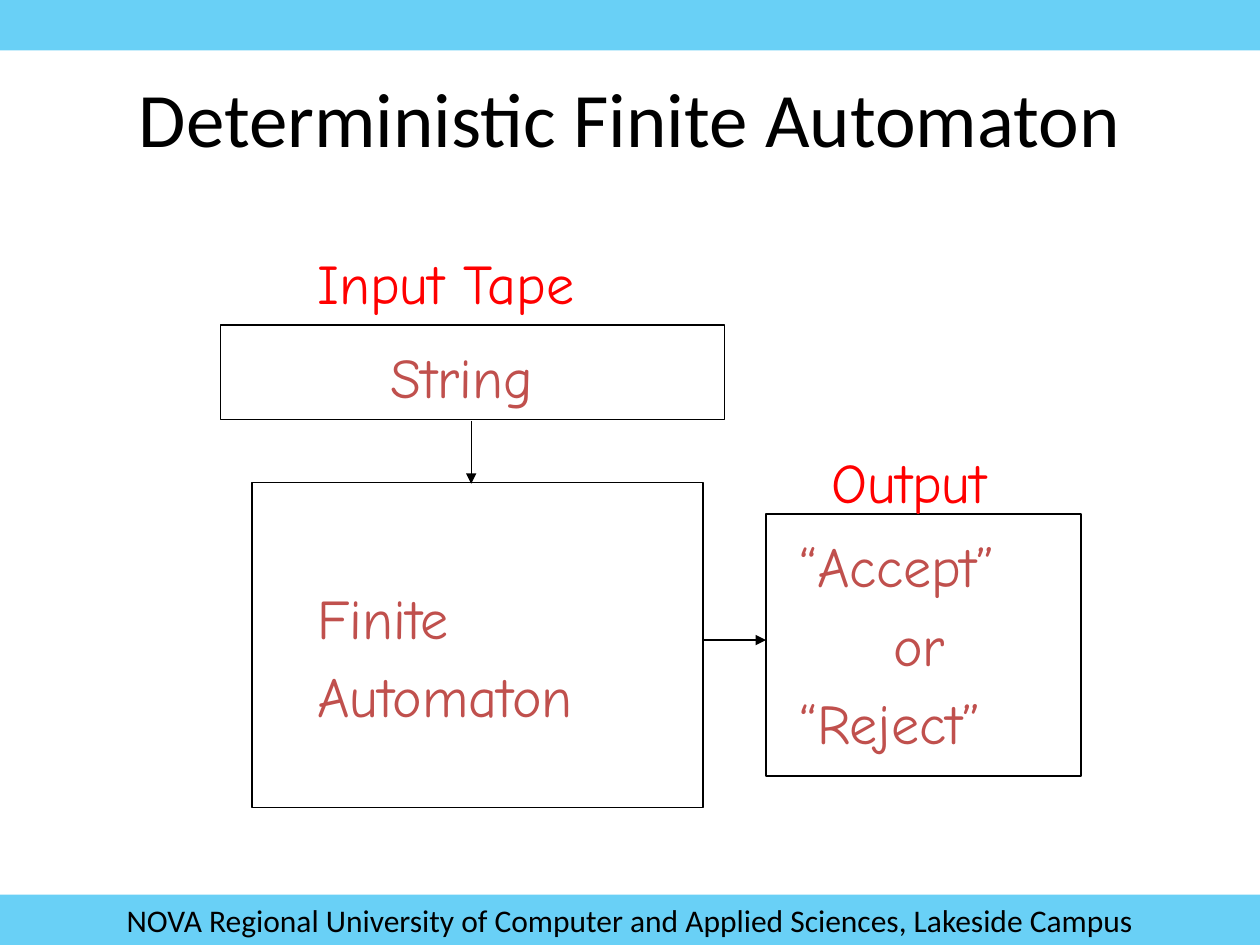
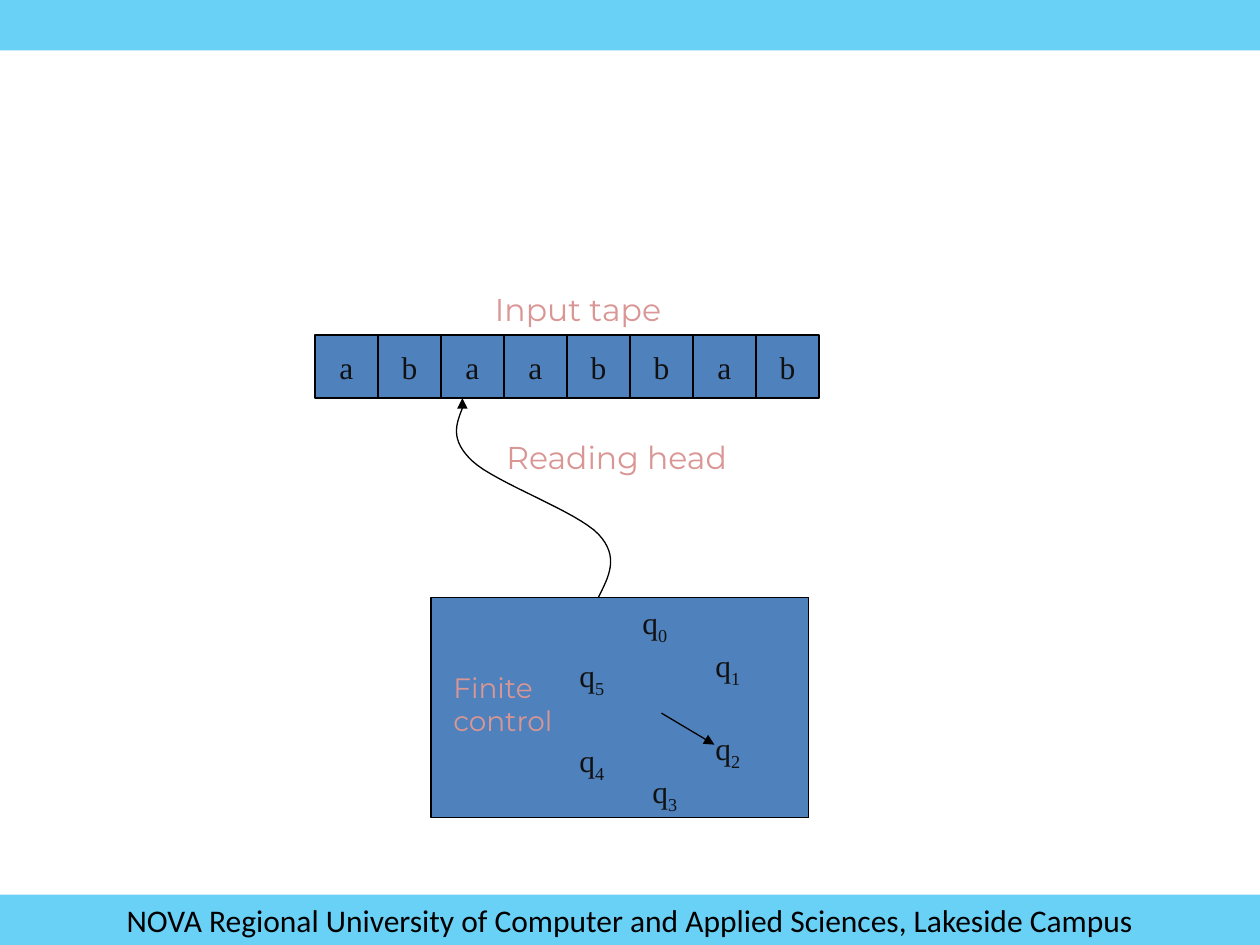
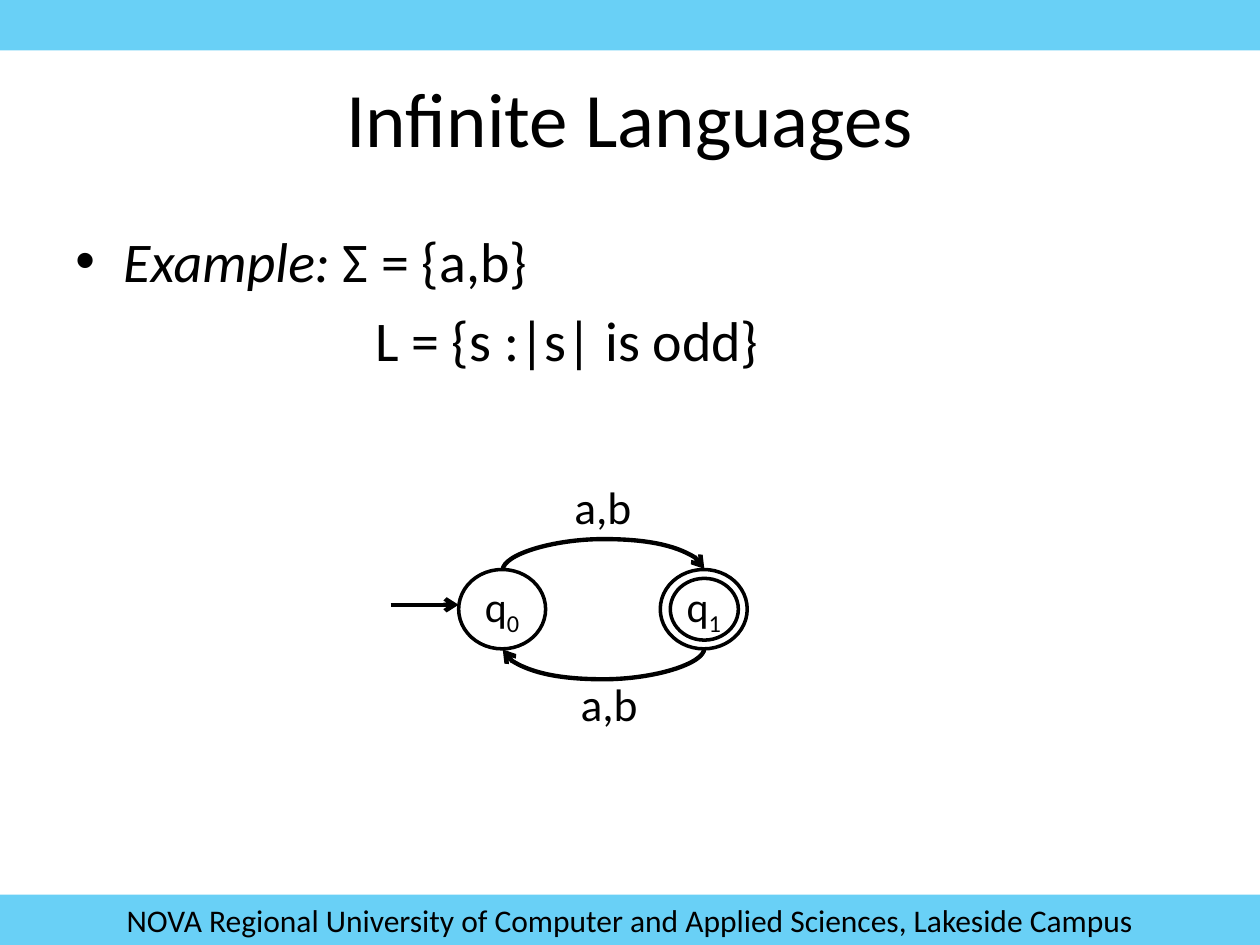
import pptx
import pptx.util
import pptx.dml.color
import pptx.enum.shapes
import pptx.enum.text
import pptx.oxml
import pptx.oxml.ns
from lxml import etree

Inches = pptx.util.Inches
Pt = pptx.util.Pt
RGBColor = pptx.dml.color.RGBColor
Shape = pptx.enum.shapes.MSO_SHAPE
Link = pptx.enum.shapes.MSO_CONNECTOR
Align = pptx.enum.text.PP_ALIGN
Anchor = pptx.enum.text.MSO_ANCHOR
qn = pptx.oxml.ns.qn

BLACK = RGBColor(0, 0, 0)
WHITE = RGBColor(255, 255, 255)
SKY = RGBColor(0x00, 0xB0, 0xF0)
BLUE = RGBColor(0x4F, 0x81, 0xBD)
RED = RGBColor(255, 0, 0)
BRICK = RGBColor(0xC0, 0x50, 0x4D)
PINK = RGBColor(0xD9, 0x96, 0x94)
INK = RGBColor(0x11, 0x11, 0x11)

SANS = "Calibri"
COMIC = "Comic Neue"
MONT = "Montserrat"
SERIF = "Times New Roman"
FOOTER = "NOVA Regional University of Computer and Applied Sciences, Lakeside Campus"


def write(shape, text, size=18, font=SANS, color=BLACK, align=Align.LEFT,
          before=0, left=0, hang=0, bullet=None, italic=False, base=0, more=False):
    """Add text as a new paragraph, or to the last one when more is set."""
    frame = shape.text_frame
    para = frame.paragraphs[-1]
    if para.runs and not more:
        para = frame.add_paragraph()
    if not more:
        para.alignment = align
        para.space_before = Pt(before)
        props = shape.element.findall(".//" + qn("a:pPr"))[-1]
        if left:
            props.set("marL", str(Inches(left)))
            props.set("indent", str(Inches(-hang)))
        if bullet:
            etree.SubElement(props, qn("a:buFont")).set("typeface", "Arial")
            etree.SubElement(props, qn("a:buChar")).set("char", bullet)
    for row, part in enumerate(text.split("\n")):
        if row:
            para.add_line_break()
        run = para.add_run()
        run.text = part
        run.font.size = Pt(size)
        run.font.name = font
        run.font.color.rgb = color
        run.font.italic = italic
        if base:
            shape.element.findall(".//" + qn("a:rPr"))[-1].set("baseline", str(base))


def state(shape, index, **style):
    """Write a state name, q with a subscript."""
    write(shape, "q", **style)
    write(shape, str(index), base=-25000, more=True, **style)


def box(slide, x, y, w, h, kind=Shape.RECTANGLE, fill=None, line=0.75):
    """Add a preset shape; no fill or no line when these are empty."""
    shape = slide.shapes.add_shape(kind, Inches(x), Inches(y), Inches(w), Inches(h))
    shape.shadow.inherit = False
    if fill is None:
        shape.fill.background()
    else:
        shape.fill.solid()
        shape.fill.fore_color.rgb = fill
    if line:
        shape.line.color.rgb = BLACK
        shape.line.width = Pt(line)
    else:
        shape.line.fill.background()
    shape.text_frame.word_wrap = False
    return shape


def area(slide, x, y, w, h, wrap=False):
    """Add an empty text box."""
    shape = slide.shapes.add_textbox(Inches(x), Inches(y), Inches(w), Inches(h))
    shape.text_frame.word_wrap = wrap
    return shape


def label(slide, text, x, y, w, h, **style):
    """Add a text box with one piece of text."""
    write(area(slide, x, y, w, h), text, **style)


def arrow(slide, x1, y1, x2, y2, width=0.75, head="triangle", kind=Link.STRAIGHT):
    """Add a connector with a head at its end."""
    line = slide.shapes.add_connector(kind, Inches(x1), Inches(y1), Inches(x2), Inches(y2))
    line.line.color.rgb = BLACK
    line.line.width = Pt(width)
    props = line.element.spPr
    etree.SubElement(props.find(qn("a:ln")), qn("a:tailEnd")).set("type", head)
    etree.SubElement(props, qn("a:effectLst"))
    return line


def arc(slide, x, y, span, rise, flip=False):
    """Add a curved arrow bulging down from its centre, or up when flipped."""
    thin = 0.01
    line = arrow(slide, x - thin / 2, y - span / 2, x + thin / 2, y + span / 2,
                 2.5, "arrow", Link.CURVE)
    props = line.element.spPr
    frame = props.find(qn("a:xfrm"))
    frame.set("rot", "5400000")
    if flip:
        frame.set("flipH", "1")
        frame.set("flipV", "1")
    geom = props.find(qn("a:prstGeom"))
    marks = geom.find(qn("a:avLst"))
    if marks is None:
        marks = etree.SubElement(geom, qn("a:avLst"))
    guide = etree.SubElement(marks, qn("a:gd"))
    guide.set("name", "adj1")
    guide.set("fmla", f"val {round(rise / thin * 100000)}")


def curve(slide, start, parts, steps=16):
    """Draw joined cubic curves as one open outline."""
    points, first = [], start
    for a, b, end in parts:
        for step in range(1, steps + 1):
            t = step / steps
            u = 1 - t
            points.append(tuple(
                Inches(u**3 * p + 3 * u * u * t * q + 3 * u * t * t * r + t**3 * s)
                for p, q, r, s in zip(first, a, b, end)))
        first = end
    pen = slide.shapes.build_freeform(Inches(start[0]), Inches(start[1]), scale=1.0)
    pen.add_line_segments(points, close=False)
    shape = pen.convert_to_shape()
    shape.shadow.inherit = False
    shape.fill.background()
    shape.line.color.rgb = BLACK
    shape.line.width = Pt(0.75)


def bands(deck, slide):
    """Make the two bands and move them to the master, behind all else."""
    tree = deck.slide_master.element.cSld.spTree
    for spot, (y, text) in enumerate([(0, ""), (7.1, FOOTER)]):
        band = box(slide, 0, y, 10, 0.4, fill=SKY, line=0)
        tint = band.element.find(".//" + qn("a:srgbClr"))
        etree.SubElement(tint, qn("a:alpha")).set("val", "59000")
        band.text_frame.word_wrap = True
        band.text_frame.vertical_anchor = Anchor.TOP
        if text:
            write(band, text, align=Align.CENTER)
        tree.insert(2 + spot, band.element)


def titled(deck, text):
    """Add a title-only slide."""
    slide = deck.slides.add_slide(deck.slide_layouts[5])
    title = slide.shapes.title
    title.left, title.top = Inches(0.5), Inches(0.3)
    title.width, title.height = Inches(9), Inches(1.25)
    title.text_frame.vertical_anchor = Anchor.MIDDLE
    write(title, text, size=44, align=Align.CENTER)
    return slide


def model(deck):
    """Slide 1: tape, automaton and output."""
    slide = titled(deck, "Deterministic Finite Automaton")
    bands(deck, slide)
    head = dict(size=32, font=COMIC, color=RED, before=6.4)
    body = dict(head, color=BRICK)
    box(slide, 2, 3.83, 3.58, 2.58)
    box(slide, 1.75, 2.58, 4, 0.75)
    box(slide, 6.08, 4.08, 2.5, 2.08)
    label(slide, "Input Tape", 2.42, 1.92, 2.5, 0.63, **head)
    label(slide, "Output", 6.5, 3.5, 1.68, 0.63, **head)
    label(slide, "String", 3, 2.67, 1.53, 0.63, **body)
    result = area(slide, 6.25, 4.17, 2.03, 1.91)
    write(result, "“Accept”", **body)
    write(result, "or", left=0.74, **body)
    write(result, "“Reject”", **body)
    name = area(slide, 2.42, 4.58, 2.45, 1.27)
    for word in ("Finite", "Automaton"):
        write(name, word, **body)
    arrow(slide, 3.74, 3.34, 3.74, 3.84)
    arrow(slide, 5.58, 5.08, 6.08, 5.08)


def machine(deck):
    """Slide 2: tape cells, reading head and finite control."""
    slide = deck.slides.add_slide(deck.slide_layouts[6])
    mark = dict(font=SERIF, color=INK)
    note = dict(font=MONT, color=PINK)
    side = 0.5
    for index, letter in enumerate("abaabbab"):
        cell = box(slide, 2.5 + index * side, 2.66, side, side, fill=BLUE)
        cell.text_frame.vertical_anchor = Anchor.MIDDLE
        write(cell, letter, align=Align.CENTER, **mark)
    label(slide, "Input tape", 3.83, 2.25, 1.62, 0.4, **note)
    box(slide, 3.42, 4.74, 3, 1.75, fill=BLUE)
    curve(slide, (4.75, 4.74), [
        ((4.83, 4.58), (4.92, 4.42), (4.75, 4.24)),
        ((4.58, 4.06), (3.93, 3.83), (3.75, 3.66)),
        ((3.57, 3.49), (3.62, 3.37), (3.67, 3.24))])
    arrow(slide, 3.67, 3.24, 3.67, 3.16)
    label(slide, "Reading head", 3.92, 3.43, 2.06, 0.4, **note)
    spots = [(5, 4.74), (5.58, 5.08), (5.58, 5.74), (5.08, 6.08), (4.5, 5.83), (4.5, 5.16)]
    for index, (x, y) in enumerate(spots):
        state(area(slide, x, y, 0.41, 0.4), index, **mark)
    arrow(slide, 5.25, 5.66, 5.67, 5.91)
    label(slide, "Finite\ncontrol", 3.5, 5.27, 1.08, 0.64, size=16, **note)


def example(deck):
    """Slide 3: a language and its automaton."""
    slide = titled(deck, "Infinite Languages")
    body = area(slide, 0.5, 1.75, 9, 4.95, wrap=True)
    write(body, "Example: ", size=32, before=6.4, left=0.38, hang=0.38,
          bullet="•", italic=True)
    write(body, "Σ = {a,b}", size=32, more=True)
    write(body, "L = {s :|s| is odd}", size=32, before=6.4, left=2.38)
    for index in range(2):
        node = box(slide, 3.64 + 1.6 * index, 4.52, 0.69, 0.63, Shape.OVAL, WHITE, 2)
        node.text_frame.vertical_anchor = Anchor.MIDDLE
        state(node, index, size=24, align=Align.CENTER)
    box(slide, 5.32, 4.59, 0.54, 0.49, Shape.OVAL, line=2)
    arrow(slide, 3.1, 4.8, 3.64, 4.8, 2.5, "arrow")
    arc(slide, 4.79, 5.15, 1.6, 0.25)
    arc(slide, 4.79, 4.52, 1.6, 0.25, flip=True)
    for x, y in ((4.46, 3.75), (4.51, 5.32)):
        label(slide, "a,b", x, y, 0.66, 0.54, size=26)


def main():
    """Build the deck."""
    deck = pptx.Presentation()
    deck.slide_width, deck.slide_height = Inches(10), Inches(7.5)
    model(deck)
    machine(deck)
    example(deck)
    deck.save("out.pptx")


main()
